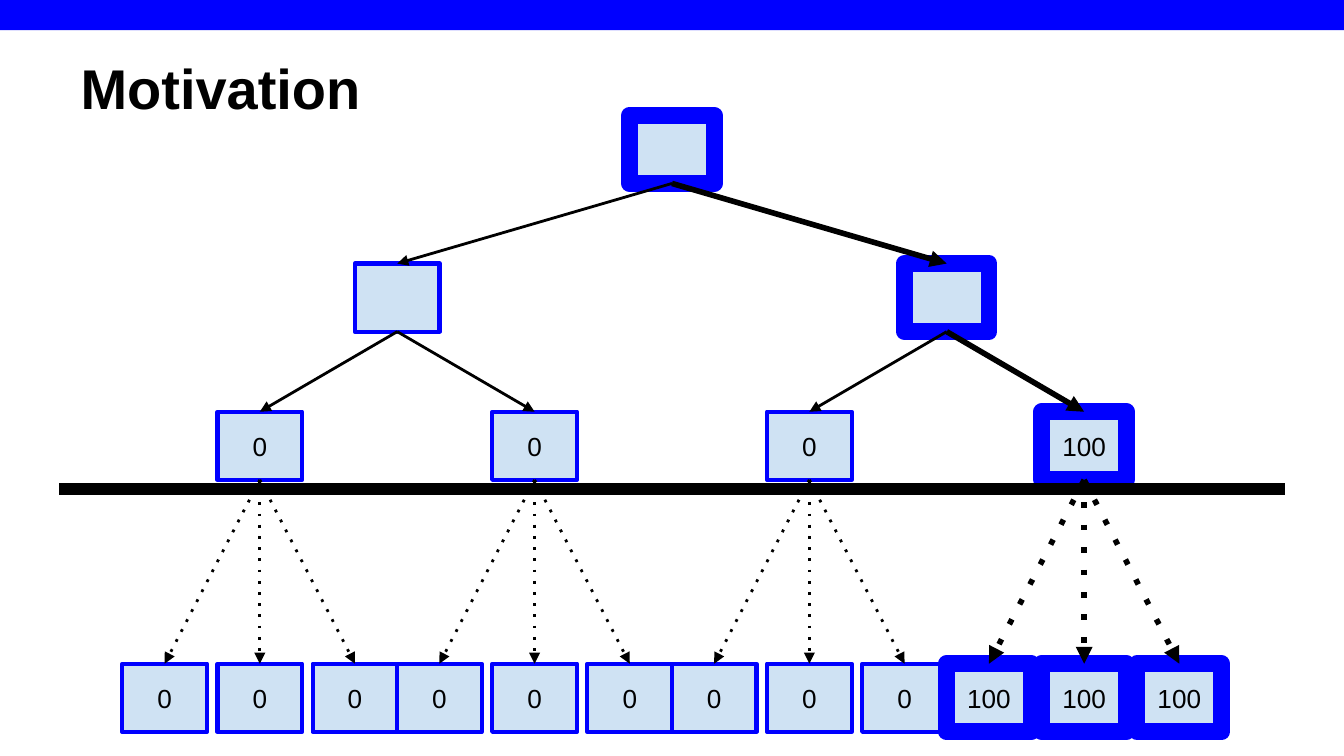
from lxml.etree import SubElement
from pptx import Presentation
from pptx.dml.color import RGBColor
from pptx.enum.shapes import MSO_CONNECTOR, MSO_SHAPE
from pptx.enum.text import MSO_ANCHOR, PP_ALIGN
from pptx.oxml.ns import qn
from pptx.util import Pt

BLUE = RGBColor(0x00, 0x00, 0xFF)
PALE_BLUE = RGBColor(0xCF, 0xE2, 0xF3)
BLACK = RGBColor(0x00, 0x00, 0x00)

SLIDE_WIDTH, SLIDE_HEIGHT = 720, 405
CENTER = SLIDE_WIDTH / 2
NODE_WIDTH, NODE_HEIGHT = 45.4, 36.5
ROOT_TOP, LEVEL_STEP = 61.8, 79.4
RECORD_TOP, RECORD_STEP = 355.6, 51
LEAF_STEP = 147.2
TOP, BOTTOM = 0, 2


class TreeSlide:
    font_name = "Arial"
    title_size = 30
    label_size = 14

    def __init__(self, slide):
        self.slide = slide

    def add_text(self, frame, text, size, align, anchor, bold=False):
        frame.word_wrap = True
        frame.vertical_anchor = anchor
        frame.margin_left = frame.margin_right = Pt(7.2)
        frame.margin_top = frame.margin_bottom = Pt(7.2)
        paragraph = frame.paragraphs[0]
        paragraph.alignment = align
        run = paragraph.add_run()
        run.text = text
        run.font.name = self.font_name
        run.font.size = Pt(size)
        run.font.bold = bold
        run.font.color.rgb = BLACK

    def title(self, text):
        heading = self.slide.shapes.title
        heading.left, heading.top = Pt(36), Pt(4.3)
        heading.width, heading.height = Pt(648), Pt(67.7)
        self.add_text(heading.text_frame, text, self.title_size,
                      PP_ALIGN.LEFT, MSO_ANCHOR.BOTTOM, bold=True)

    def rectangle(self, left, top, width, height, fill):
        box = self.slide.shapes.add_shape(
            MSO_SHAPE.RECTANGLE, Pt(left), Pt(top), Pt(width), Pt(height))
        box.shadow.inherit = False
        box.fill.solid()
        box.fill.fore_color.rgb = fill
        return box

    def banner(self):
        band = self.rectangle(0, 0, SLIDE_WIDTH, 16.2, BLUE)
        band.line.fill.background()

    def node(self, center, top, label="", on_path=False):
        box = self.rectangle(center - NODE_WIDTH / 2, top,
                             NODE_WIDTH, NODE_HEIGHT, PALE_BLUE)
        box.line.color.rgb = BLUE
        box.line.width = Pt(9 if on_path else 2.25)
        if label:
            self.add_text(box.text_frame, label, self.label_size,
                          PP_ALIGN.CENTER, MSO_ANCHOR.MIDDLE)
        return box

    def line(self, x1, y1, x2, y2, weight):
        connector = self.slide.shapes.add_connector(
            MSO_CONNECTOR.STRAIGHT, Pt(x1), Pt(y1), Pt(x2), Pt(y2))
        connector.line.color.rgb = BLACK
        connector.line.width = Pt(weight)
        SubElement(connector.element.spPr, qn("a:effectLst"))
        return connector

    def arrow(self, parent, child, on_path=False, dotted=False):
        connector = self.line(0, 0, 0, 0, 3 if on_path else 1.5)
        connector.begin_connect(parent, BOTTOM)
        connector.end_connect(child, TOP)
        outline = connector.element.spPr.find(qn("a:ln"))
        if dotted:
            SubElement(outline, qn("a:prstDash"), val="dot")
        SubElement(outline, qn("a:tailEnd"), type="triangle")


def main():
    deck = Presentation()
    deck.slide_width, deck.slide_height = Pt(SLIDE_WIDTH), Pt(SLIDE_HEIGHT)
    tree = TreeSlide(deck.slides.add_slide(deck.slide_layouts[5]))
    tree.banner()
    tree.title("Motivation")

    # The rightmost node of every level lies on the highlighted path.
    levels = []
    for depth, label in enumerate(["", "", "0"]):
        count = 2 ** depth
        step = LEAF_STEP * 4 / count
        level = []
        for index in range(count):
            on_path = index == count - 1
            center = CENTER + (index - (count - 1) / 2) * step
            text = "100" if label and on_path else label
            level.append(tree.node(center, ROOT_TOP + depth * LEVEL_STEP,
                                   text, on_path))
        levels.append(level)

    for parents, children in zip(levels, levels[1:]):
        for index, child in enumerate(children):
            tree.arrow(parents[index // 2], child,
                       on_path=index == len(children) - 1)

    tree.line(31.7, 262, 688.3, 262, 6)

    leaves = levels[-1]
    for index, leaf in enumerate(leaves):
        on_path = index == len(leaves) - 1
        center = CENTER + (index - 1.5) * LEAF_STEP
        records = [tree.node(center + side * RECORD_STEP, RECORD_TOP,
                             "100" if on_path else "0", on_path)
                   for side in (0, -1, 1)]
        for record in records:
            tree.arrow(leaf, record, on_path, dotted=True)

    deck.save("out.pptx")


if __name__ == "__main__":
    main()
